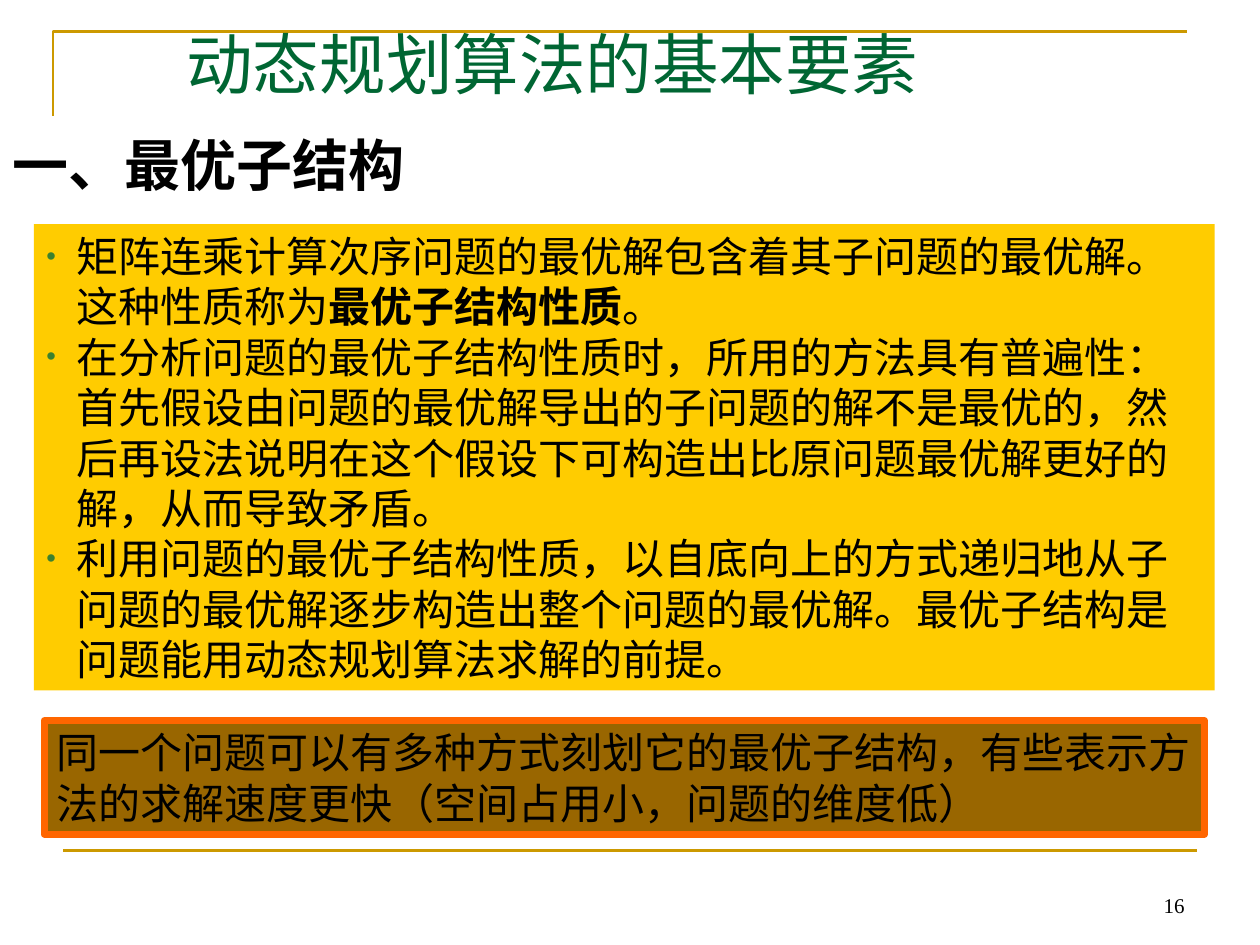
from lxml import etree
from pptx import Presentation
from pptx.dml.color import RGBColor
from pptx.enum.shapes import MSO_CONNECTOR, MSO_SHAPE
from pptx.enum.text import MSO_ANCHOR, MSO_AUTO_SIZE, PP_ALIGN
from pptx.oxml.ns import qn
from pptx.util import Inches, Pt

LEFT, CENTER, RIGHT = PP_ALIGN.LEFT, PP_ALIGN.CENTER, PP_ALIGN.RIGHT
TOP, BOTTOM = MSO_ANCHOR.TOP, MSO_ANCHOR.BOTTOM

# Content: each paragraph is a list of (text, bold) runs
TITLE = [[("动态规划算法的基本要素", False)]]
HEAD = [[("一、最优子结构", True)]]
POINTS = [
    [("矩阵连乘计算次序问题的最优解包含着其子问题的最优解。这种性质称为", False),
     ("最优子结构性质", True), ("。", False)],
    [("在分析问题的最优子结构性质时，所用的方法具有普遍性：首先假设由问题的最优解导出的"
      "子问题的解不是最优的，然后再设法说明在这个假设下可构造出比原问题最优解更好的解，"
      "从而导致矛盾。", False)],
    [("利用问题的最优子结构性质，以自底向上的方式递归地从子问题的最优解逐步构造出"
      "整个问题的最优解。最优子结构是问题能用动态规划算法求解的前提。", False)],
]
NOTE = [[("同一个问题可以有多种方式刻划它的最优子结构，有些表示方法的求解速度更快"
          "（空间占用小，问题的维度低）", False)]]
PAGE = [[("16", False)]]

GOLD = "CC9900"
INDENT = 0.24


def color(code):
    return RGBColor.from_string(code)


def add_bullet(para):
    props = para._p.get_or_add_pPr()
    props.set("marL", str(Inches(INDENT)))
    props.set("indent", str(-Inches(INDENT)))
    tint = etree.SubElement(props, qn("a:buClr"))
    etree.SubElement(tint, qn("a:srgbClr"), val="3B812F")
    etree.SubElement(props, qn("a:buSzPct"), val="65000")
    etree.SubElement(props, qn("a:buFont"), typeface="Arial")
    etree.SubElement(props, qn("a:buChar"), char="•")


def write(shape, paras, size=24, font="Arial", ink="000000", align=LEFT,
          anchor=TOP, wrap=True, bullet=False):
    frame = shape.text_frame
    frame.auto_size = MSO_AUTO_SIZE.NONE
    frame.word_wrap = wrap
    frame.vertical_anchor = anchor
    for i, runs in enumerate(paras):
        para = frame.add_paragraph() if i else frame.paragraphs[0]
        para.alignment = align
        if bullet:
            add_bullet(para)
        for text, bold in runs:
            run = para.add_run()
            run.text = text
            run.font.name, run.font.size = font, Pt(size)
            run.font.bold = bold
            run.font.color.rgb = color(ink)


def add_box(shapes, place, fill, edge=None):
    box = shapes.add_shape(MSO_SHAPE.RECTANGLE, *map(Inches, place))
    box.shadow.inherit = False
    box.fill.solid()
    box.fill.fore_color.rgb = color(fill)
    if edge:
        box.line.color.rgb, box.line.width = color(edge), Pt(4)
    else:
        box.line.fill.background()
    return box


def add_text(shapes, place):
    return shapes.add_textbox(*map(Inches, place))


def main():
    prs = Presentation()
    prs.slide_width, prs.slide_height = Inches(10), Inches(7.5)
    slide = prs.slides.add_slide(prs.slide_layouts[5])
    shapes = slide.shapes

    # Gold corner and bottom rule
    pen = shapes.build_freeform(Inches(0.42), Inches(0.92))
    pen.add_line_segments([(Inches(0.42), Inches(0.25)),
                           (Inches(9.42), Inches(0.25))], close=False)
    corner = pen.convert_to_shape()
    corner.shadow.inherit = False
    corner.fill.background()
    rule = shapes.add_connector(MSO_CONNECTOR.STRAIGHT, Inches(0.5),
                                Inches(6.75), Inches(9.5), Inches(6.75))
    etree.SubElement(rule._element.spPr, qn("a:effectLst"))
    for part in (corner, rule):
        part.line.color.rgb, part.line.width = color(GOLD), Pt(1.5)

    # Title, placed in front of the corner
    title = shapes.title
    title.left, title.top = Inches(1.38), Inches(0)
    title.width, title.height = Inches(7.01), Inches(0.87)
    rule._element.addnext(title._element)
    write(title, TITLE, size=38, font="Times New Roman", ink="006633",
          anchor=BOTTOM)

    # Heading, points, note and page number
    write(add_text(shapes, (0, 0.99, 3.31, 0.64)), HEAD, size=32,
          align=CENTER, wrap=False)
    write(add_box(shapes, (0.27, 1.78, 9.37, 3.7), "FFCC00"), POINTS,
          bullet=True)
    write(add_box(shapes, (0.35, 5.72, 9.21, 0.9), "996600", "FF6600"), NOTE)
    write(add_text(shapes, (7.17, 6.83, 2.33, 0.5)), PAGE, size=12,
          font="Times New Roman", align=RIGHT, anchor=BOTTOM)

    prs.save("out.pptx")


if __name__ == "__main__":
    main()
